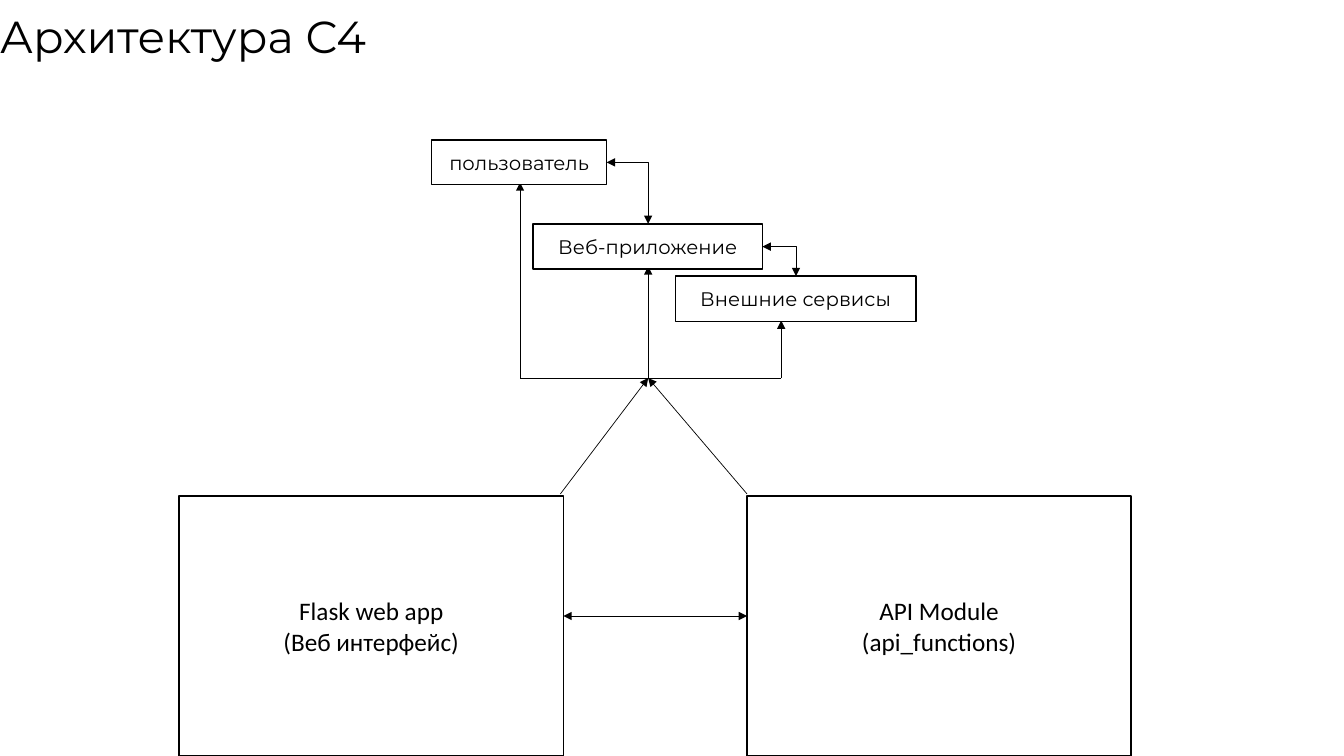
from dataclasses import dataclass

from lxml import etree
from pptx import Presentation
from pptx.dml.color import RGBColor
from pptx.enum.shapes import MSO_CONNECTOR, MSO_SHAPE
from pptx.enum.text import MSO_ANCHOR, MSO_AUTO_SIZE, PP_ALIGN
from pptx.oxml.ns import qn
from pptx.util import Pt

RECTANGLE = MSO_SHAPE.RECTANGLE
STRAIGHT = MSO_CONNECTOR.STRAIGHT
ELBOW = MSO_CONNECTOR.ELBOW
CENTER = PP_ALIGN.CENTER
LEFT = PP_ALIGN.LEFT
MIDDLE = MSO_ANCHOR.MIDDLE
GROW = MSO_AUTO_SIZE.SHAPE_TO_FIT_TEXT

BOTH_ENDS = ("headEnd", "tailEnd")
FAR_END = ("tailEnd",)

MODULE_TOP, MODULE_WIDTH, MODULE_HEIGHT = 354.4, 274.4, 185.6
FLASK_LEFT, API_LEFT = 128, 533.6
FLASK_RIGHT = FLASK_LEFT + MODULE_WIDTH
EXCHANGE_Y = 440
ROOF_Y = 352.8
HUB_X, HUB_Y = 463, 270
HUB = (HUB_X, HUB_Y)


@dataclass(frozen=True)
class Theme:
    ink: RGBColor = RGBColor(0, 0, 0)
    paper: RGBColor = RGBColor(255, 255, 255)
    display_font: str = "Montserrat"
    module_font: str = "Calibri"
    title_size: int = 32
    module_size: int = 18
    actor_size: int = 14
    border: float = 1
    link: float = 0.5


class Diagram:
    def __init__(self, slide, theme):
        self.slide = slide
        self.theme = theme

    def add_lines(self, frame, lines, font_name, size, align):
        frame.word_wrap = True
        paragraph = frame.paragraphs[0]
        paragraph.alignment = align
        for index, line in enumerate(lines):
            if index:
                paragraph.add_line_break()
            run = paragraph.add_run()
            run.text = line
            run.font.name = font_name
            run.font.size = Pt(size)
            run.font.color.rgb = self.theme.ink

    def title(self, text, bounds):
        heading = self.slide.shapes.add_textbox(*map(Pt, bounds))
        heading.text_frame.auto_size = GROW
        self.add_lines(heading.text_frame, [text], self.theme.display_font,
                       self.theme.title_size, LEFT)

    def box(self, lines, bounds, font_name, size):
        node = self.slide.shapes.add_shape(RECTANGLE, *map(Pt, bounds))
        node.shadow.inherit = False
        node.fill.solid()
        node.fill.fore_color.rgb = self.theme.paper
        node.line.color.rgb = self.theme.ink
        node.line.width = Pt(self.theme.border)
        node.text_frame.vertical_anchor = MIDDLE
        self.add_lines(node.text_frame, lines, font_name, size, CENTER)

    def module(self, lines, bounds):
        self.box(lines, bounds, self.theme.module_font, self.theme.module_size)

    def actor(self, name, bounds):
        self.box([name], bounds, self.theme.display_font, self.theme.actor_size)

    def link(self, start, end, arrows=(), kind=STRAIGHT):
        connector = self.slide.shapes.add_connector(kind, *map(Pt, (*start, *end)))
        connector.line.color.rgb = self.theme.ink
        connector.line.width = Pt(self.theme.link)
        properties = connector._element.spPr
        outline = properties.find(qn("a:ln"))
        for arrow in arrows:
            etree.SubElement(outline, qn(f"a:{arrow}")).set("type", "triangle")
        etree.SubElement(properties, qn("a:effectLst"))
        return connector

    def corner_link(self, start, end):
        connector = self.link(start, end, BOTH_ENDS, ELBOW)
        geometry = connector._element.spPr.find(qn("a:prstGeom"))
        geometry.set("prst", "bentConnector2")


def main():
    presentation = Presentation()
    presentation.slide_width = Pt(960)
    presentation.slide_height = Pt(540)
    slide = presentation.slides.add_slide(presentation.slide_layouts[6])
    diagram = Diagram(slide, Theme())

    for lines, left in (
        (("Flask web app", "(Веб интерфейс)"), FLASK_LEFT),
        (("API Module", "(api_functions)"), API_LEFT),
    ):
        diagram.module(lines, (left, MODULE_TOP, MODULE_WIDTH, MODULE_HEIGHT))

    diagram.link((FLASK_RIGHT, EXCHANGE_Y), (API_LEFT, EXCHANGE_Y), BOTH_ENDS)
    for module_corner in (400.3, API_LEFT):
        diagram.link((module_corner, ROOF_Y), HUB, FAR_END)

    for branch_x, actor_bottom in ((HUB_X, 190.2), (371.5, 130.3), (558, 229)):
        if branch_x != HUB_X:
            diagram.link(HUB, (branch_x, HUB_Y))
        diagram.link((branch_x, HUB_Y), (branch_x, actor_bottom), FAR_END)

    for name, bounds in (
        ("пользователь", (308.2, 100, 125.2, 32)),
        ("Веб-приложение", (380.8, 160, 164, 32.2)),
        ("Внешние сервисы", (482.4, 197.3, 172, 32.2)),
    ):
        diagram.actor(name, bounds)

    diagram.corner_link((433.4, 116), (HUB_X, 160))
    diagram.corner_link((544.6, 176.2), (568.6, 197.3))

    diagram.title("Архитектура С4", (-7.2, 2.9, 470.2, 46))
    presentation.save("out.pptx")


if __name__ == "__main__":
    main()
